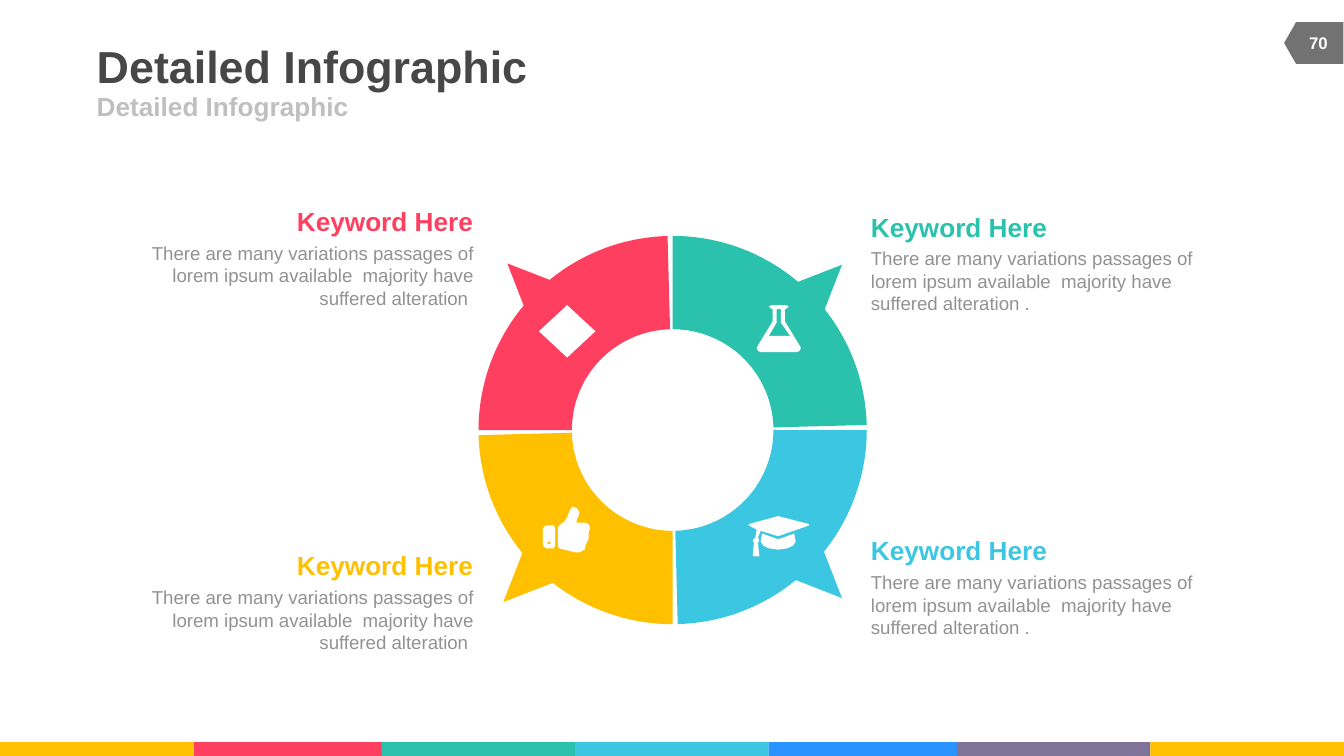
"""Build the four-part ring infographic slide."""
import math
from typing import NamedTuple

import pptx
import pptx.dml.color
import pptx.enum.shapes
import pptx.enum.text
import pptx.shapes.autoshape
import pptx.shapes.shapetree
import pptx.util

Pt = pptx.util.Pt
RGBColor = pptx.dml.color.RGBColor
MSO_SHAPE = pptx.enum.shapes.MSO_SHAPE
PP_ALIGN = pptx.enum.text.PP_ALIGN
MSO_ANCHOR = pptx.enum.text.MSO_ANCHOR
Contour = list[tuple[float, float]]

YELLOW = RGBColor(0xFF, 0xC0, 0x00)
RED = RGBColor(0xFF, 0x3F, 0x5F)
TEAL = RGBColor(0x2A, 0xC2, 0xAC)
CYAN = RGBColor(0x3B, 0xC7, 0xE2)
BLUE = RGBColor(0x29, 0x93, 0xFF)
PURPLE = RGBColor(0x7F, 0x73, 0x9A)
WHITE = RGBColor(0xFF, 0xFF, 0xFF)
BADGE_GRAY = RGBColor(0x72, 0x72, 0x72)
TITLE_GRAY = RGBColor(0x47, 0x47, 0x47)
SUBTITLE_GRAY = RGBColor(0xBF, 0xBF, 0xBF)
BODY_GRAY = RGBColor(0x92, 0x92, 0x92)

RING_CENTER = (360.36, 230.4)
OUTER_RADIUS, INNER_RADIUS = 104, 54
SWEEP = 88.5
BAR_WIDTH = 103.68
LABEL_WIDTH = 179.28
LEFT_LABEL, RIGHT_LABEL = 74.16, 466.56
BODY = "There are many variations passages of lorem ipsum available  majority have suffered alteration "


class Section(NamedTuple):
    color: RGBColor
    start: int
    pointer: tuple[float, float]
    label_left: float
    label_top: float
    align: PP_ALIGN
    body: str


class Icon(NamedTuple):
    left: float
    top: float
    contours: list[Contour]


SECTIONS = [
    Section(RED, 180, (269.28, 136.8), LEFT_LABEL, 110.16, PP_ALIGN.RIGHT, BODY),
    Section(YELLOW, 90, (267.12, 297.36), LEFT_LABEL, 294.48, PP_ALIGN.RIGHT, BODY),
    Section(TEAL, 270, (427.68, 137.52), RIGHT_LABEL, 113.04, PP_ALIGN.LEFT, BODY + "."),
    Section(CYAN, 0, (427.68, 295.2), RIGHT_LABEL, 286.56, PP_ALIGN.LEFT, BODY + "."),
]
BARS = [(0, YELLOW), (103.68, RED), (204.48, TEAL), (308.16, CYAN),
        (411.84, BLUE), (512.64, PURPLE), (616.32, YELLOW)]

FLASK = Icon(404.64, 163.44, [
    [(31, 35), (4, 35), (2, 34), (1, 32), (2, 30), (13, 12), (13, 3), (12, 3), (10, 1),
     (12, 0), (23, 0), (25, 1), (23, 3), (22, 3), (22, 12), (33, 30), (34, 32), (33, 34)],
    [(10, 23), (26, 23), (19, 13), (19, 3), (16, 3), (16, 13)],
])
GRADUATION_CAP = Icon(401.04, 276.48, [
    [(45, 7), (22, 15), (9, 11), (7, 16), (8, 18), (7, 20), (8, 30), (4, 30), (3, 29),
     (4, 20), (3, 18), (5, 16), (6, 10), (0, 7), (0, 6), (22, 0), (45, 6)],
    [(35, 19), (33, 22), (29, 24), (22, 25), (15, 24), (11, 22), (9, 19), (10, 13),
     (21, 17), (23, 17), (34, 13)],
])
THUMB_UP = Icon(290.88, 271.44, [
    [(9, 29), (8, 31), (2, 31), (0, 29), (0, 16), (2, 14), (8, 14), (9, 16)],
    [(4, 26), (3, 27), (4, 28), (5, 28), (6, 27), (5, 26)],
    [(34, 19), (34, 24), (33, 26), (32, 28), (31, 32), (27, 34), (24, 34), (16, 32),
     (12, 31), (11, 29), (11, 16), (12, 14), (16, 11), (18, 8), (19, 5), (21, 1), (22, 0),
     (25, 1), (27, 4), (27, 6), (25, 10), (25, 12), (31, 12), (34, 13), (35, 16)],
])


def paint(shape: pptx.shapes.autoshape.Shape, color: RGBColor) -> None:
    shape.shadow.inherit = False
    shape.fill.solid()
    shape.fill.fore_color.rgb = color
    shape.line.fill.background()


def add_preset(shapes: pptx.shapes.shapetree.SlideShapes, kind: MSO_SHAPE, left: float, top: float,
               width: float, height: float, color: RGBColor, rotation: float = 0) -> None:
    preset = shapes.add_shape(kind, Pt(left), Pt(top), Pt(width), Pt(height))
    preset.rotation = rotation
    paint(preset, color)


def add_outline(shapes: pptx.shapes.shapetree.SlideShapes, contours: list[Contour], left: float,
                top: float, unit: float, color: RGBColor) -> None:
    first, *others = contours
    builder = shapes.build_freeform(*first[0], scale=Pt(unit))
    builder.add_line_segments(first[1:], close=True)
    for contour in others:
        builder.move_to(*contour[0])
        builder.add_line_segments(contour[1:], close=True)
    paint(builder.convert_to_shape(Pt(left), Pt(top)), color)


def add_text(shapes: pptx.shapes.shapetree.SlideShapes, text: str, left: float, top: float,
             width: float, height: float, size: float, color: RGBColor, bold: bool = True,
             align: PP_ALIGN = PP_ALIGN.LEFT, anchor: MSO_ANCHOR = MSO_ANCHOR.TOP) -> None:
    frame = shapes.add_textbox(Pt(left), Pt(top), Pt(width), Pt(height)).text_frame
    frame.word_wrap = True
    frame.margin_left = frame.margin_right = frame.margin_top = frame.margin_bottom = 0
    frame.vertical_anchor = anchor
    paragraph = frame.paragraphs[0]
    paragraph.text = text
    paragraph.alignment = align
    paragraph.font.name = "Arial"
    paragraph.font.size = Pt(size)
    paragraph.font.bold = bold
    paragraph.font.color.rgb = color


def arc(radius: float, start: float) -> Contour:
    steps = 60
    angles = [math.radians(start + SWEEP * step / steps) for step in range(steps + 1)]
    return [(100 * radius * math.cos(angle), 100 * radius * math.sin(angle)) for angle in angles]


def add_section(shapes: pptx.shapes.shapetree.SlideShapes, section: Section) -> None:
    segment = arc(OUTER_RADIUS, section.start) + arc(INNER_RADIUS, section.start)[::-1]
    add_outline(shapes, [segment], *RING_CENTER, 0.01, section.color)
    add_preset(shapes, MSO_SHAPE.ISOSCELES_TRIANGLE, *section.pointer, 25.92, 29.52,
               section.color, (section.start + 135) % 360)
    add_text(shapes, "Keyword Here", section.label_left, section.label_top, LABEL_WIDTH, 17.28,
             14, section.color, align=section.align)
    add_text(shapes, section.body, section.label_left, section.label_top + 19.44, LABEL_WIDTH, 36,
             10, BODY_GRAY, bold=False, align=section.align)


def main() -> None:
    deck = pptx.Presentation()
    deck.slide_width, deck.slide_height = Pt(720), Pt(405)
    shapes = deck.slides.add_slide(deck.slide_layouts[6]).shapes

    for left, color in BARS:
        add_preset(shapes, MSO_SHAPE.RECTANGLE, left, 397.6, BAR_WIDTH, 7.4, color)
    add_preset(shapes, MSO_SHAPE.FLOWCHART_OFFPAGE_CONNECTOR, 692.64, 7.2, 22.32, 31.68,
               BADGE_GRAY, 90)
    add_text(shapes, "Detailed Infographic", 51.84, 20.88, 444.24, 28.08, 24, TITLE_GRAY,
             anchor=MSO_ANCHOR.MIDDLE)
    add_text(shapes, "Detailed Infographic", 51.84, 48.96, 324, 15.84, 14, SUBTITLE_GRAY,
             anchor=MSO_ANCHOR.MIDDLE)
    add_text(shapes, "70", 691.2, 12.24, 30.24, 21.6, 9, WHITE, align=PP_ALIGN.CENTER,
             anchor=MSO_ANCHOR.MIDDLE)

    for section in SECTIONS:
        add_section(shapes, section)
    add_preset(shapes, MSO_SHAPE.DIAMOND, 288.72, 163.44, 30.24, 28.08, WHITE)
    for icon in (FLASK, GRADUATION_CAP, THUMB_UP):
        add_outline(shapes, icon.contours, icon.left, icon.top, 0.72, WHITE)

    deck.save("out.pptx")


if __name__ == "__main__":
    main()
